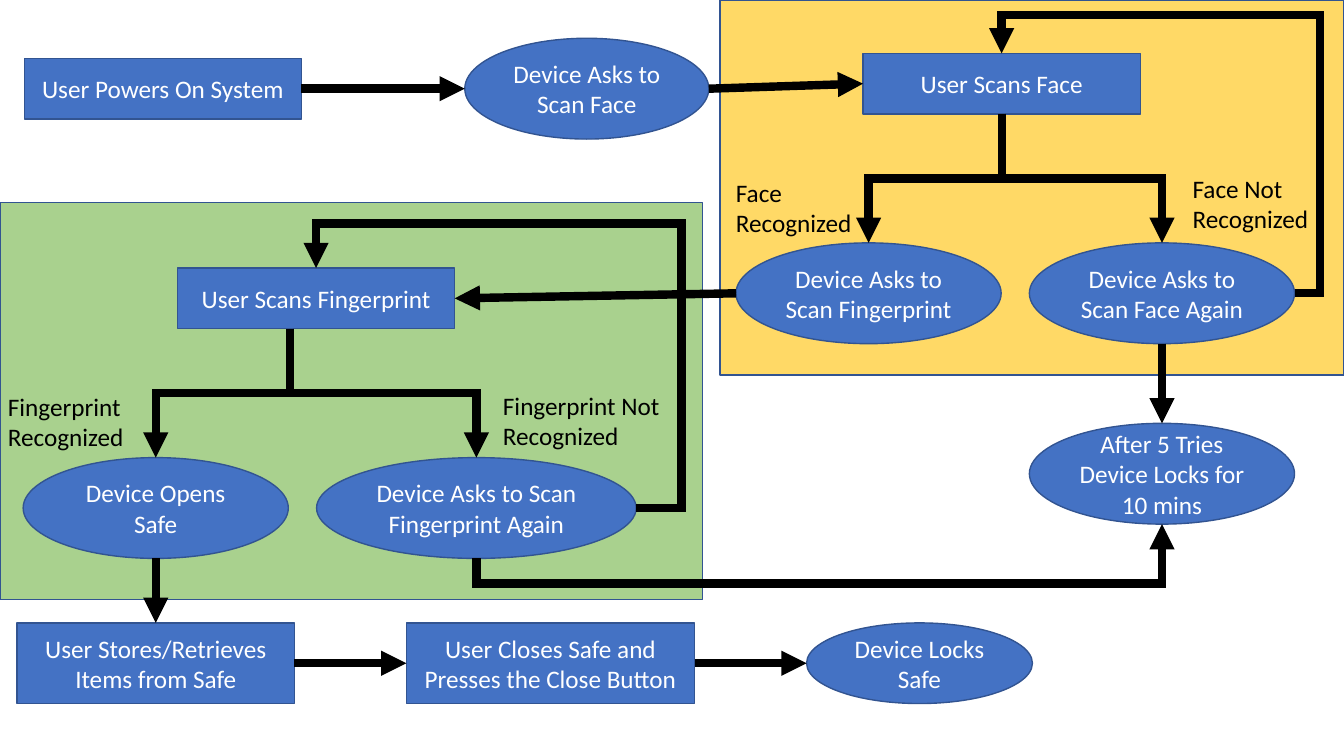
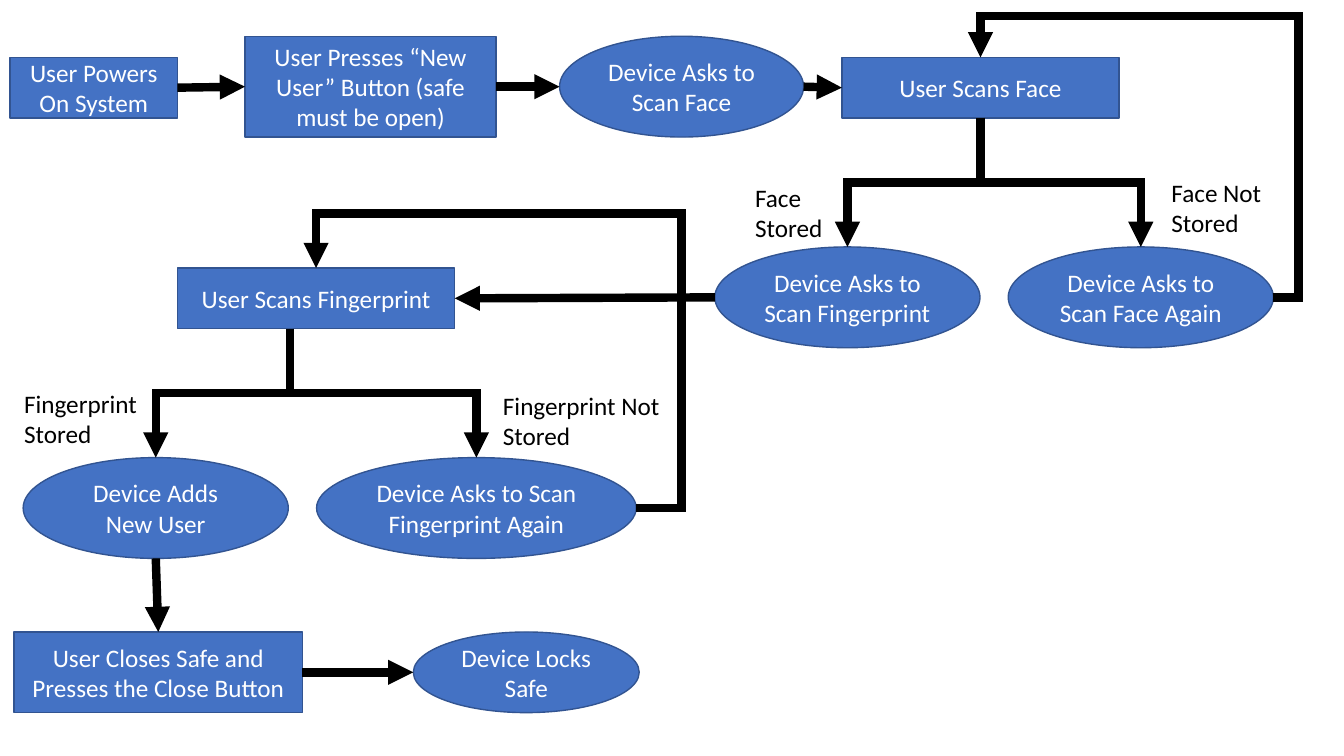
from lxml.etree import SubElement as Sub
from pptx import Presentation
from pptx.dml.color import RGBColor
from pptx.enum.shapes import MSO_CONNECTOR as Link, MSO_SHAPE as Form
from pptx.enum.text import MSO_ANCHOR as Anchor, PP_ALIGN as Align
from pptx.oxml.ns import qn
from pptx.util import Inches, Pt

BLUE, EDGE, BLACK, WHITE = "4472C4", "325491", "000000", "FFFFFF"
GREEN, GOLD = "A9D18E", "FFD966"
FONT, SIZE = "Calibri", 18
FORMS = {"box": Form.RECTANGLE, "oval": Form.OVAL}
SIDES = "tlbr"
SITES = {"t": (0.5, 0), "l": (0, 0.5), "b": (0.5, 1), "r": (1, 0.5)}

FACE = {
    "face": ("box", 8.56, 0.53, 2.75, 0.6, "User Scans Face"),
    "toprint": ("oval", 7.3, 2.41, 2.63, 1, "Device Asks to Scan Fingerprint"),
    "reface": ("oval", 10.21, 2.41, 2.63, 1, "Device Asks to Scan Face Again"),
}
PRINT = {
    "print": ("box", 1.76, 2.66, 2.75, 0.6, "User Scans Fingerprint"),
    "reprint": ("oval", 3.14, 4.54, 3.17, 1, "Device Asks to Scan Fingerprint Again"),
}
CLOSE = "User Closes Safe and Presses the Close Button"
LINKS = [
    ("power", "r", "press", "l", "line", {}),
    ("press", "r", "ask", "l", "line", {}),
    ("power", "r", "ask", "l", "line", {}),
    ("ask", "r", "face", "l", "line", {}),
    ("face", "b", "toprint", "t", "split", {}),
    ("face", "b", "reface", "t", "split", {}),
    ("toprint", "l", "print", "r", "line", {}),
    ("print", "b", "done", "t", "split", {"shift": -0.26}),
    ("print", "b", "reprint", "t", "split", {"shift": -0.26}),
    ("reface", "b", "wait", "t", "line", {}),
    ("reprint", "b", "wait", "b", "under", {"out": 0.25}),
    ("done", "b", "store", "t", "line", {}),
    ("store", "r", "close", "l", "line", {}),
    ("done", "b", "close", "t", "line", {}),
    ("close", "r", "lock", "l", "line", {}),
]
SLIDES = [
    {
        "bands": [(0, 2.01, 6.97, 3.94, GREEN), (7.14, 0, 6.19, 3.72, GOLD)],
        "move": (0, 0),
        "nodes": {
            "power": ("box", 0.24, 0.58, 2.75, 0.6, "User Powers On System"),
            "ask": ("oval", 4.61, 0.38, 2.42, 1, "Device Asks to Scan Face"),
            "wait": ("oval", 10.21, 4.2, 2.63, 1, "After 5 Tries Device Locks for 10 mins"),
            "done": ("oval", 0.23, 4.54, 2.63, 1, "Device Opens Safe"),
            "store": ("box", 0.17, 6.18, 2.75, 0.8, "User Stores/Retrieves Items from Safe"),
            "close": ("box", 4.03, 6.18, 2.86, 0.8, CLOSE),
            "lock": ("oval", 8, 6.18, 2.24, 0.8, "Device Locks Safe"),
        },
        "skip": [("power", "press"), ("done", "close")],
        "rise": (0.38, 0.44),
        "labels": [
            (7.2, 1.71, 1.59, "Face Recognized"),
            (11.73, 1.67, 1.52, "Face Not Recognized"),
            (-0.02, 3.83, 1.59, "Fingerprint Recognized"),
            (4.89, 3.82, 1.87, "Fingerprint Not Recognized"),
        ],
    },
    {
        "bands": [],
        "move": (-0.21, 0.04),
        "nodes": {
            "power": ("box", 0.1, 0.57, 1.66, 0.6, "User Powers On System"),
            "press": ("box", 2.43, 0.36, 2.49, 1, "User Presses “New User” Button (safe must be open)"),
            "ask": ("oval", 5.55, 0.36, 2.42, 1, "Device Asks to Scan Face"),
            "done": ("oval", 0.23, 4.54, 2.63, 1, "Device Adds New User"),
            "close": ("box", 0.14, 6.27, 2.86, 0.8, CLOSE),
            "lock": ("oval", 4.1, 6.27, 2.24, 0.8, "Device Locks Safe"),
        },
        "skip": [("power", "ask")],
        "rise": (0.41, 0.54),
        "labels": [
            (7.39, 1.76, 1.05, "Face Stored"),
            (11.52, 1.71, 1.17, "Face Not Stored"),
            (0.14, 3.8, 1.59, "Fingerprint Stored"),
            (4.89, 3.82, 1.87, "Fingerprint Not Stored"),
        ],
    },
]


def tint(code):
    return RGBColor.from_string(code)


def write(shape, text, color=WHITE, align=Align.CENTER, anchor=Anchor.MIDDLE):
    frame = shape.text_frame
    frame.word_wrap = True
    frame.vertical_anchor = anchor
    para = frame.paragraphs[0]
    para.alignment = align
    run = para.add_run()
    run.text = text
    run.font.name, run.font.size = FONT, Pt(SIZE)
    run.font.color.rgb = tint(color)


def draw(slide, kind, area, fill=BLUE):
    shape = slide.shapes.add_shape(FORMS[kind], *map(Inches, area))
    shape.shadow.inherit = False
    shape.fill.solid()
    shape.fill.fore_color.rgb = tint(fill)
    shape.line.color.rgb = tint(EDGE)
    shape.line.width = Pt(1)
    return shape


def site(node, side):
    x, y, w, h = node[1:5]
    across, down = SITES[side]
    return x + w * across, y + h * down


def route(mode, start, end, out=0, rise=0):
    (x1, y1), (x2, y2) = start, end
    wide, high = abs(x2 - x1), abs(y2 - y1)
    if mode == "loop":
        area = (min(x1, x2), min(y1, y2), wide, high)
        return area, 0, "HV", "bentConnector4", (-out / wide, 1 + rise / high)
    area = ((x1 + x2 - high) / 2, (y1 + y2 - wide) / 2, high, wide)
    if mode == "under":
        return area, 90, "HV", "bentConnector3", (-out / high,)
    turn, flips = (270, "H") if x2 > x1 else (90, "")
    return area, turn, flips, "bentConnector3", (0.5,)


def bend(line, turn, flips, form, shares):
    frame = line.element.spPr.find(qn("a:xfrm"))
    if turn:
        frame.set("rot", str(turn * 60000))
    for axis in flips:
        frame.set("flip" + axis, "1")
    shape = line.element.spPr.find(qn("a:prstGeom"))
    shape.set("prst", form)
    guide = shape.find(qn("a:avLst"))
    if guide is None:
        guide = Sub(shape, qn("a:avLst"))
    for n, share in enumerate(shares, 1):
        Sub(guide, qn("a:gd"), name=f"adj{n}", fmla=f"val {round(share * 100000)}")


def join(slide, nodes, shapes, link):
    first, leave, last, reach, mode, more = link
    more = dict(more)
    start, end = site(nodes[first], leave), site(nodes[last], reach)
    start = (start[0] + more.pop("shift", 0), start[1])
    if mode == "line":
        line = slide.shapes.add_connector(Link.STRAIGHT, *map(Inches, start + end))
    else:
        (x, y, w, h), *turns = route(mode, start, end, **more)
        line = slide.shapes.add_connector(Link.ELBOW, *map(Inches, (x, y, x + w, y + h)))
        bend(line, *turns)
    ties = line.element.nvCxnSpPr.cNvCxnSpPr
    for tag, name, side in (("a:stCxn", first, leave), ("a:endCxn", last, reach)):
        step = 2 if nodes[name][0] == "oval" else 1
        Sub(ties, qn(tag), id=str(shapes[name].shape_id), idx=str(SIDES.index(side) * step))
    line.line.color.rgb = tint(BLACK)
    line.line.width = Pt(6)
    stroke = line.element.spPr.find(qn("a:ln"))
    Sub(stroke, qn("a:miter"), lim="800000")
    Sub(stroke, qn("a:tailEnd"), type="triangle")
    Sub(line.element.spPr, qn("a:effectLst"))


def build(deck, plan):
    slide = deck.slides.add_slide(deck.slide_layouts[6])
    for *area, fill in plan["bands"]:
        draw(slide, "box", area, fill)
    dx, dy = plan["move"]
    moved = {name: (kind, x + dx, y + dy, *rest)
             for name, (kind, x, y, *rest) in FACE.items()}
    nodes = {**plan["nodes"], **moved, **PRINT}
    shapes = {}
    for name, (kind, *area, text) in nodes.items():
        shapes[name] = draw(slide, kind, area)
        write(shapes[name], text)
    upper, lower = plan["rise"]
    loops = [
        ("reface", "r", "face", "t", "loop", {"out": 0.25, "rise": upper}),
        ("reprint", "r", "print", "t", "loop", {"out": 0.45, "rise": lower}),
    ]
    for link in LINKS + loops:
        ends = (link[0], link[2])
        if ends not in plan["skip"] and all(name in nodes for name in ends):
            join(slide, nodes, shapes, link)
    for x, y, w, text in plan["labels"]:
        label = slide.shapes.add_textbox(*map(Inches, (x, y, w, 0.71)))
        write(label, text, color=BLACK, align=Align.LEFT, anchor=Anchor.TOP)


def main():
    deck = Presentation()
    deck.slide_width, deck.slide_height = Inches(13.33), Inches(7.5)
    for plan in SLIDES:
        build(deck, plan)
    deck.save("out.pptx")


if __name__ == "__main__":
    main()
